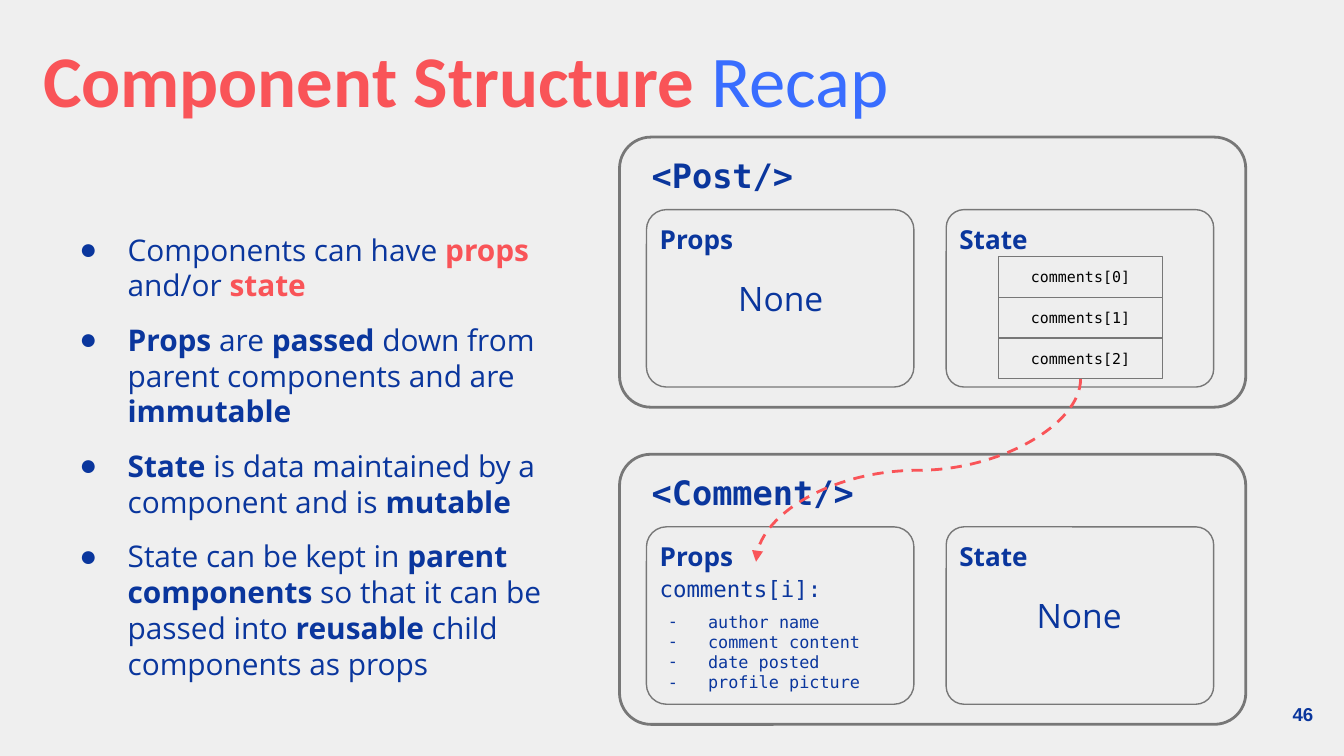
"""Build the slide recapping props and state in a component structure."""
from lxml import etree
from pptx import Presentation
from pptx import util as u
from pptx.dml.color import RGBColor
from pptx.enum import dml, shapes, text
from pptx.oxml.ns import qn

COLOURS = {"paper": "EFEFEF", "panel": "EEEEEE", "edge": "777777", "navy": "0A369D",
           "coral": "F95458", "blue": "396DFF", "black": "000000"}
RGB = {name: RGBColor.from_string(value) for name, value in COLOURS.items()}
MONO, SANS = "DejaVu Sans Mono", "Open Sans"
LEFT, CENTRE, RIGHT = text.PP_ALIGN.LEFT, text.PP_ALIGN.CENTER, text.PP_ALIGN.RIGHT

deck = Presentation()
deck.slide_width = u.Inches(10)
deck.slide_height = deck.slide_width * 9 // 16
COL = ROW = deck.slide_width // 100
slide = deck.slides.add_slide(deck.slide_layouts[1])
slide.background.fill.solid()
slide.background.fill.fore_color.rgb = RGB["paper"]


def label(words, box, size, font=SANS, bold=False, align=LEFT, colour="navy",
          outline=None, corner=None, bullet=None):
    """Add text in a grid box, outlined when a line width is given."""
    x, y, w, h = box
    place = (round(x * COL), round(y * ROW), round(w * COL), round(h * ROW))
    if outline:
        kind = shapes.MSO_SHAPE.ROUNDED_RECTANGLE if corner else shapes.MSO_SHAPE.RECTANGLE
        item = slide.shapes.add_shape(kind, *place)
        item.shadow.inherit = False
        item.fill.solid()
        item.fill.fore_color.rgb = RGB["panel"]
        item.line.color.rgb = RGB["edge"]
        item.line.width = u.Pt(outline)
        if corner:
            item.adjustments[0] = corner
    else:
        item = slide.shapes.add_textbox(*place)
    frame = item.text_frame
    frame.word_wrap = True
    frame.margin_left = frame.margin_right = frame.margin_top = frame.margin_bottom = COL
    frame.vertical_anchor = text.MSO_ANCHOR.MIDDLE if outline else text.MSO_ANCHOR.TOP
    if words:
        frame.text = words
        for line in frame.paragraphs:
            if bullet:
                add_bullet(line, bullet, font, 3, -3.1)
            line.alignment = align
            line.font.size, line.font.name, line.font.bold = u.Pt(size), font, bold
            line.font.color.rgb = RGB[colour]
    return item


def add_bullet(line, mark, font, margin, indent):
    """Give a paragraph a hanging navy bullet, measured in columns."""
    props = line._p.get_or_add_pPr()
    props.set("marL", str(round(margin * COL)))
    props.set("indent", str(round(indent * COL)))
    tint = etree.SubElement(props, qn("a:buClr"))
    etree.SubElement(tint, qn("a:srgbClr")).set("val", COLOURS["navy"])
    etree.SubElement(props, qn("a:buFont")).set("typeface", font)
    etree.SubElement(props, qn("a:buChar")).set("char", mark)


title, body = slide.shapes.title, slide.placeholders[1]
for holder, (x, y, w, h) in ((title, (2.2, 1.6, 66, 15.2)), (body, (3.5, 16.2, 40.3, 39.1))):
    holder.left, holder.top = round(x * COL), round(y * ROW)
    holder.width, holder.height = round(w * COL), round(h * ROW)
    frame = holder.text_frame
    frame.margin_left = frame.margin_right = frame.margin_top = frame.margin_bottom = COL
    frame.vertical_anchor = text.MSO_ANCHOR.TOP
    frame.auto_size = text.MSO_AUTO_SIZE.NONE
    frame.word_wrap = True

heading = title.text_frame.paragraphs[0]
heading.alignment = LEFT
heading.font.size, heading.font.name = u.Pt(39), "Calibri"
for words, colour, bold in (("Component Structure ", "coral", True), ("Recap", "blue", False)):
    run = heading.add_run()
    run.text, run.font.bold = words, bold
    run.font.color.rgb = RGB[colour]

points = [
    ("coral", "Components can have *props *and/or *state*"),
    ("navy", "*Props *are *passed *down from parent components and are *immutable*"),
    ("navy", "*State *is data maintained by a component and is *mutable*"),
    ("navy", "State can be kept in *parent components* so that it can be passed into "
             "*reusable *child components as props"),
]
for number, (accent, sentence) in enumerate(points):
    point = body.text_frame.add_paragraph() if number else body.text_frame.paragraphs[0]
    add_bullet(point, "●", "Arial", 5, -3.6)
    point.line_spacing = 1.0
    point.space_before = u.Pt(10 if number else 0)
    point.font.size, point.font.name = u.Pt(16), SANS
    for part, words in enumerate(sentence.split("*")):
        if words:
            run = point.add_run()
            run.text, run.font.bold = words, part % 2 == 1
            run.font.color.rgb = RGB[accent if part % 2 else "navy"]

PROPS_X, STATE_X = 48.1, 70.4
POST_Y, COMMENT_Y = 10.2, 33.8
for tag, card_y, empty_x in (("<Post/>", POST_Y, PROPS_X + 5),
                             ("<Comment/>", COMMENT_Y, STATE_X + 4.9)):
    label("", (46.1, card_y, 46.6, 20.1), 0, outline=1.5, corner=0.116)
    label(tag, (47.5, card_y + 0.3, 18, 5.1), 18, MONO, bold=True)
    for name, x, corner in (("Props", PROPS_X, 0.113), ("State", STATE_X, 0.101)):
        label("", (x, card_y + 5.4, 19.9, 13.2), 0, outline=0.75, corner=corner)
        label(name, (x, card_y + 5.4, 9.6, 5.1), 14, bold=True)
    label("None", (empty_x, card_y + 9.5, 10, 5), 18, align=CENTRE)

for index in range(3):
    entry = label(f"comments[{index}]", (74.3, 19.1 + 3.03 * index, 12.2, 3.03), 8, MONO,
                  align=CENTRE, colour="black", outline=0.75)
passed = label("comments[i]:", (PROPS_X, COMMENT_Y + 8, 16.3, 4), 12, MONO)
label("author name\ncomment content\ndate posted\nprofile picture",
      (48.7, COMMENT_Y + 10.7, 18.1, 8.1), 9, MONO, bullet="-")

start_x, start_y = entry.left + entry.width // 2, entry.top + entry.height
end_x, end_y = passed.left + passed.width // 2, passed.top
across, down = start_x - end_x, end_y - start_y
turned_x = (start_x + end_x - down) // 2
turned_y = (start_y + end_y - across) // 2
flow = slide.shapes.add_connector(shapes.MSO_CONNECTOR.CURVE, turned_x, turned_y,
                                  turned_x + down, turned_y + across)
flow._element.spPr.find(qn("a:xfrm")).set("rot", str(90 * 60000))
flow.line.color.rgb = RGB["coral"]
flow.line.width = u.Pt(1.5)
flow.line.dash_style = dml.MSO_LINE.DASH
etree.SubElement(flow.line._get_or_add_ln(), qn("a:tailEnd")).set("type", "triangle")
etree.SubElement(flow._element.spPr, qn("a:effectLst"))

page = label("46", (92.7, 51, 6, 4.3), 10, "Arial", bold=True, align=RIGHT)
page.text_frame.vertical_anchor = text.MSO_ANCHOR.MIDDLE

deck.save("out.pptx")
